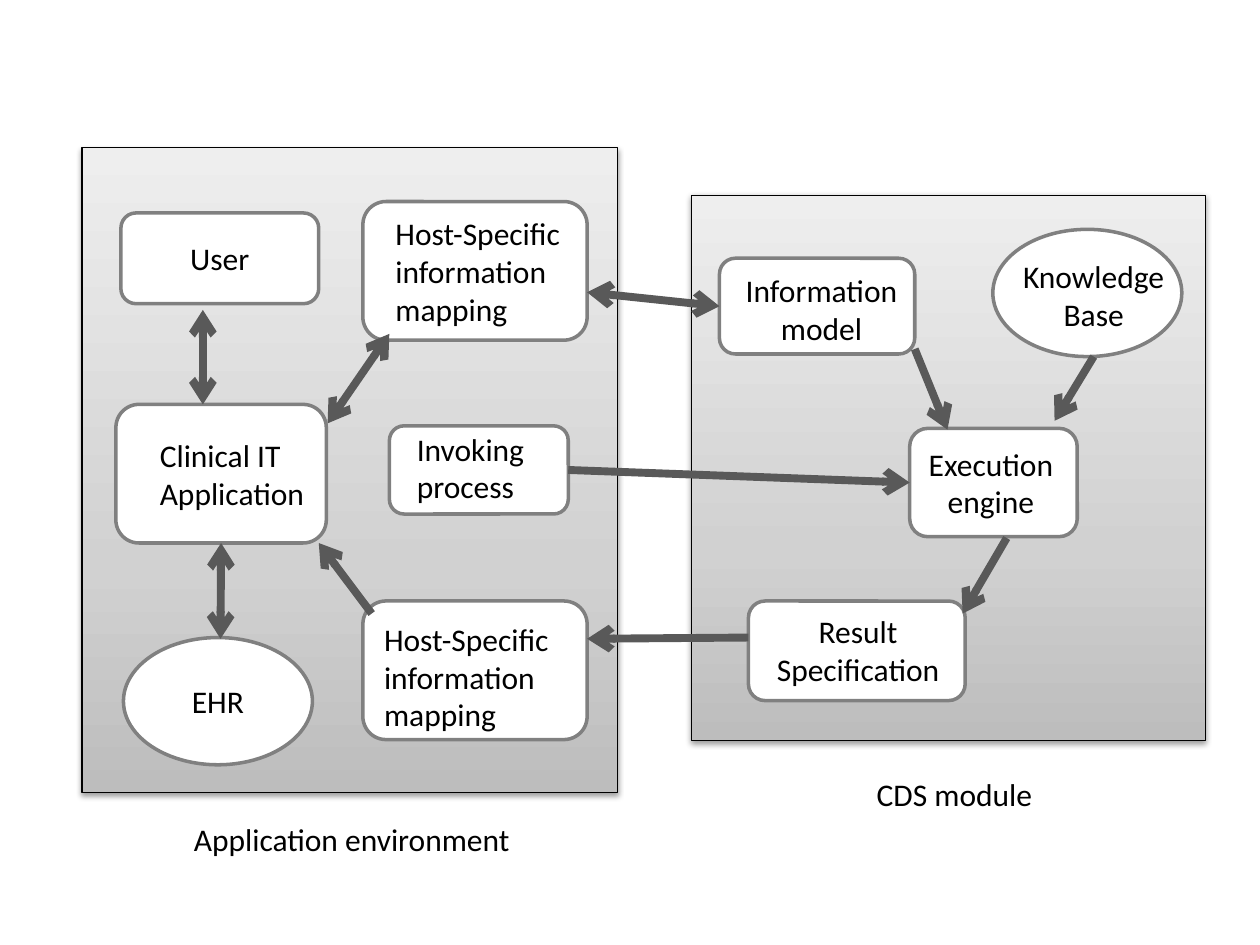
from dataclasses import dataclass

from lxml import etree
from pptx import Presentation
from pptx.dml.color import RGBColor
from pptx.enum.shapes import MSO_CONNECTOR, MSO_SHAPE
from pptx.enum.text import MSO_ANCHOR, PP_ALIGN
from pptx.oxml import parse_xml
from pptx.oxml.ns import qn
from pptx.util import Inches, Pt


@dataclass(frozen=True)
class Theme:
    font: str = "Calibri"
    text_size: float = 18
    text: str = "000000"
    node_fill: str = "FFFFFF"
    node_line: str = "808080"
    node_line_width: float = 2
    panel_line: str = "000000"
    panel_line_width: float = 0.75
    panel_stops: tuple = ((0, "BDBDBD"), (35, "D1D1D1"), (100, "EEEEEE"))
    shadow: str = "000000"
    arrow: str = "595959"
    arrow_width: float = 4.5


THEME = Theme()
DRAWING = 'xmlns:a="http://schemas.openxmlformats.org/drawingml/2006/main"'
TOP, LEFT, BOTTOM, RIGHT = range(4)
BOX, OVAL = MSO_SHAPE.ROUNDED_RECTANGLE, MSO_SHAPE.OVAL
CENTER, START = PP_ALIGN.CENTER, PP_ALIGN.LEFT


def write_text(shape, text, align=START, anchor=MSO_ANCHOR.TOP, wrap=True):
    """Write one paragraph per line of text."""
    frame = shape.text_frame
    frame.word_wrap = wrap
    frame.vertical_anchor = anchor
    frame.text = text
    for paragraph in frame.paragraphs:
        paragraph.alignment = align
        font = paragraph.runs[0].font
        font.name, font.size = THEME.font, Pt(THEME.text_size)
        font.color.rgb = RGBColor.from_string(THEME.text)


def add_label(slide, box, text, **text_format):
    label = slide.shapes.add_textbox(*map(Inches, box))
    write_text(label, text, **text_format)


def add_outlined(slide, kind, box, line_color, line_width):
    shape = slide.shapes.add_shape(kind, *map(Inches, box))
    shape.shadow.inherit = False
    shape.line.color.rgb = RGBColor.from_string(line_color)
    shape.line.width = Pt(line_width)
    return shape


def add_panel(slide, box):
    """Gradient panel with a soft shadow below it."""
    panel = add_outlined(slide, MSO_SHAPE.RECTANGLE, box,
                         THEME.panel_line, THEME.panel_line_width)
    stops = "".join(
        f'<a:gs pos="{position * 1000}"><a:srgbClr val="{color}"/></a:gs>'
        for position, color in THEME.panel_stops)
    gradient = parse_xml(
        f'<a:gradFill {DRAWING} rotWithShape="1"><a:gsLst>{stops}</a:gsLst>'
        '<a:lin ang="16200000" scaled="0"/></a:gradFill>')
    shadow = parse_xml(
        f'<a:outerShdw {DRAWING} blurRad="{Pt(3.1)}" dist="{Pt(1.6)}" '
        f'dir="5400000" rotWithShape="0"><a:srgbClr val="{THEME.shadow}">'
        '<a:alpha val="38000"/></a:srgbClr></a:outerShdw>')
    properties = panel.element.spPr
    properties.find(qn("a:prstGeom")).addnext(gradient)
    properties.find(qn("a:effectLst")).append(shadow)


def add_node(slide, origin, kind, box):
    """Outlined white node, placed from the panel's top left corner."""
    node = add_outlined(slide, kind, shift(origin, box),
                        THEME.node_line, THEME.node_line_width)
    node.fill.solid()
    node.fill.fore_color.rgb = RGBColor.from_string(THEME.node_fill)
    return node


def shift(origin, box):
    return (origin[0] + box[0], origin[1] + box[1], *box[2:])


def add_arrow(slide, start, end, both=False, begin=None, finish=None):
    """Arrow between points; begin and finish are (node, side) joints."""
    arrow = slide.shapes.add_connector(
        MSO_CONNECTOR.STRAIGHT, *map(Inches, (*start, *end)))
    if begin:
        arrow.begin_connect(*begin)
    if finish:
        arrow.end_connect(*finish)
    arrow.line.color.rgb = RGBColor.from_string(THEME.arrow)
    arrow.line.width = Pt(THEME.arrow_width)
    line = arrow.line._get_or_add_ln()
    for tag in ("a:headEnd", "a:tailEnd") if both else ("a:tailEnd",):
        etree.SubElement(line, qn(tag), type="arrow")
    etree.SubElement(arrow.element.spPr, qn("a:effectLst"))


def add_region(slide, box, nodes, labels, caption):
    """Panel, its nodes and labels, and the caption below it."""
    add_panel(slide, box)
    shapes = {name: add_node(slide, box, kind, place)
              for name, kind, place in nodes}
    for place, text, text_format in labels:
        add_label(slide, shift(box, place), text, **text_format)
    place, text = caption
    add_label(slide, shift(box, place), text)
    return shapes


def add_application_environment(slide, box):
    mapping = "Host-Specific information mapping"
    nodes = [
        ("user", BOX, (0.31, 0.52, 1.57, 0.72)),
        ("input mapping", BOX, (2.23, 0.43, 1.78, 1.1)),
        ("output mapping", BOX, (2.23, 3.6, 1.78, 1.1)),
        ("invoking", BOX, (2.44, 2.21, 1.42, 0.7)),
        ("record", OVAL, (0.33, 3.89, 1.5, 1.01)),
        ("application", BOX, (0.27, 2.04, 1.67, 1.1)),
    ]
    labels = [
        ((0.52, 2.24, 1.36, 0.71), "Clinical IT\nApplication", {"wrap": False}),
        ((2.39, 0.48, 1.6, 1.01), mapping, {}),
        ((2.3, 3.7, 1.6, 1.01), mapping, {}),
        ((2.56, 2.19, 1.27, 0.71), "Invoking process", {}),
    ]
    caption = ((0.79, 5.29, 3.11, 0.4), "Application environment")
    shapes = add_region(slide, box, nodes, labels, caption)
    for name, text in (("user", "User"), ("record", "EHR")):
        write_text(shapes[name], text, align=CENTER, anchor=MSO_ANCHOR.MIDDLE)
    return shapes


def add_cds_module(slide, box):
    nodes = [
        ("model", BOX, (0.22, 0.5, 1.55, 0.76)),
        ("result", BOX, (0.45, 3.22, 1.72, 0.79)),
        ("engine", BOX, (1.73, 1.85, 1.33, 0.86)),
        ("knowledge", OVAL, (2.39, 0.27, 1.5, 1.01)),
    ]
    centered = {"align": CENTER}
    labels = [
        ((0.28, 0.55, 1.5, 0.71), "Information model", centered),
        ((2.5, 0.44, 1.38, 0.71), "Knowledge\nBase", centered),
        ((1.69, 1.93, 1.37, 0.71), "Execution\nengine", centered),
        ((0.53, 3.26, 1.58, 0.71), "Result\nSpecification", centered),
    ]
    caption = ((1.37, 4.55, 1.82, 0.4), "CDS module")
    return add_region(slide, box, nodes, labels, caption)


def add_flows(slide, host, module):
    # Two-way exchanges
    add_arrow(slide, (1.61, 2.46), (1.61, 3.21), both=True)
    add_arrow(slide, (1.75, 4.32), (1.75, 5.07), both=True,
              begin=(host["application"], BOTTOM))
    add_arrow(slide, (3.09, 2.65), (2.6, 3.36), both=True)
    add_arrow(slide, (4.66, 2.32), (5.71, 2.46), both=True,
              finish=(module["model"], LEFT))
    # One-way flows
    add_arrow(slide, (2.95, 4.87), (2.53, 4.31))
    add_arrow(slide, (5.94, 5.06), (4.66, 5.07))
    add_arrow(slide, (4.51, 3.76), (7.18, 3.84),
              begin=(host["invoking"], RIGHT), finish=(module["engine"], LEFT))
    add_arrow(slide, (8.68, 2.83), (8.37, 3.34))
    add_arrow(slide, (7.26, 2.77), (7.52, 3.41))
    add_arrow(slide, (7.99, 4.27), (7.64, 4.87))


def main():
    presentation = Presentation()
    presentation.slide_width, presentation.slide_height = Inches(10), Inches(7.5)
    slide = presentation.slides.add_slide(presentation.slide_layouts[6])
    host = add_application_environment(slide, (0.65, 1.17, 4.25, 5.12))
    module = add_cds_module(slide, (5.49, 1.55, 4.08, 4.33))
    add_flows(slide, host, module)
    presentation.save("out.pptx")


if __name__ == "__main__":
    main()
